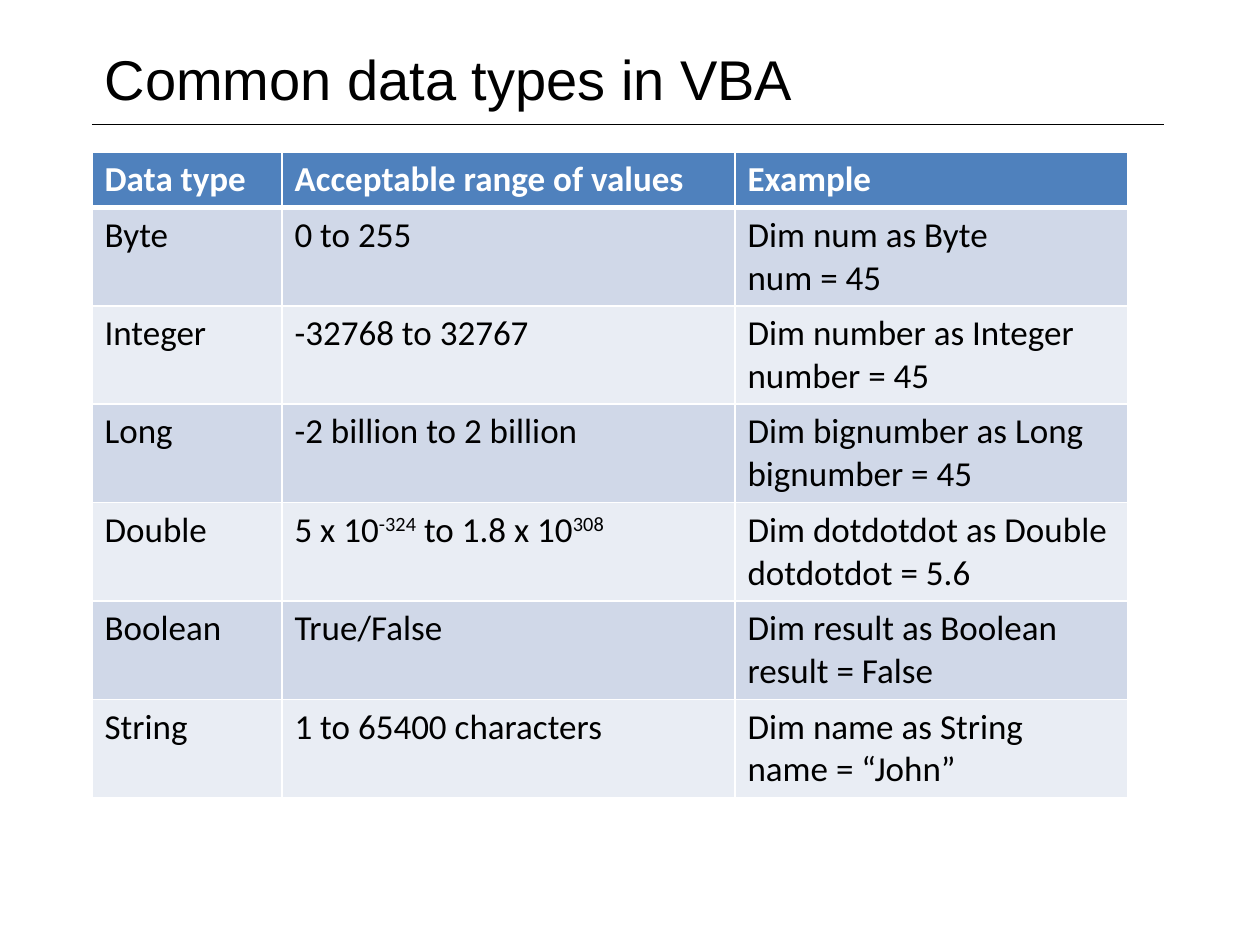
from lxml.etree import SubElement
from pptx import Presentation
from pptx.dml.color import RGBColor
from pptx.enum.shapes import MSO_CONNECTOR
from pptx.enum.text import MSO_ANCHOR, MSO_AUTO_SIZE, PP_ALIGN
from pptx.oxml.ns import qn
from pptx.util import Pt

EMU_PER_PX = 914400 // 126
BLACK = RGBColor(0x00, 0x00, 0x00)
WHITE = RGBColor(0xFF, 0xFF, 0xFF)
HEADER_BLUE = RGBColor(0x4F, 0x81, 0xBD)
BAND_COLOURS = (RGBColor(0xD0, 0xD8, 0xE8), RGBColor(0xE9, 0xED, 0xF4))

LEFT = 92
COLUMN_WIDTHS = (190, 453, 393)
HEADER_HEIGHT = 54
ROW_HEIGHT = 98
SUPERSCRIPT = "30000"

HEADINGS = ("Data type", "Acceptable range of values", "Example")
DATA_TYPES = (
    ("Byte", "0 to 255", "Dim num as Byte\nnum = 45"),
    ("Integer", "-32768 to 32767", "Dim number as Integer\nnumber = 45"),
    ("Long", "-2 billion to 2 billion", "Dim bignumber as Long\nbignumber = 45"),
    ("Double", "5 x 10^-324^ to 1.8 x 10^308", "Dim dotdotdot as Double\ndotdotdot = 5.6"),
    ("Boolean", "True/False", "Dim result as Boolean\nresult = False"),
    ("String", "1 to 65400 characters", "Dim name as String\nname = “John”"),
)


def px(length):
    return length * EMU_PER_PX


def add_run(paragraph, text, font_name, size, colour, bold=False):
    run = paragraph.add_run()
    run.text = text
    run.font.name = font_name
    run.font.size = Pt(size)
    run.font.bold = bold
    run.font.color.rgb = colour
    return run


def add_title(slide, text):
    title = slide.shapes.title
    title.left, title.top, title.width, title.height = px(LEFT), px(36), px(856), px(84)
    frame = title.text_frame
    frame.auto_size = MSO_AUTO_SIZE.NONE
    frame.vertical_anchor = MSO_ANCHOR.MIDDLE
    paragraph = frame.paragraphs[0]
    paragraph.alignment = PP_ALIGN.LEFT
    add_run(paragraph, text, "Arial", 32, BLACK)


def add_rule(slide):
    rule = slide.shapes.add_connector(
        MSO_CONNECTOR.STRAIGHT, px(LEFT), px(124), px(1164), px(124)
    )
    rule.line.color.rgb = BLACK
    rule.line.width = Pt(0.25)
    SubElement(rule._element.spPr, qn("a:effectLst"))


def set_borders(cell, top, bottom):
    properties = cell._tc.get_or_add_tcPr()
    for side, width in (("L", 1), ("R", 1), ("T", top), ("B", bottom)):
        border = SubElement(properties, qn(f"a:ln{side}"), w=str(Pt(width)))
        fill = SubElement(border, qn("a:solidFill"))
        SubElement(fill, qn("a:srgbClr"), val=str(WHITE))


def fill_cell(cell, text, fill_colour, text_colour, bold):
    cell.fill.solid()
    cell.fill.fore_color.rgb = fill_colour
    frame = cell.text_frame
    for index, line in enumerate(text.split("\n")):
        paragraph = frame.add_paragraph() if index else frame.paragraphs[0]
        for part, words in enumerate(line.split("^")):
            run = add_run(paragraph, words, "Calibri", 20, text_colour, bold)
            if part % 2:
                run._r.get_or_add_rPr().set("baseline", SUPERSCRIPT)


def add_data_type_table(slide):
    rows = (HEADINGS,) + DATA_TYPES
    height = HEADER_HEIGHT + ROW_HEIGHT * len(DATA_TYPES)
    table = slide.shapes.add_table(
        len(rows), len(HEADINGS), px(LEFT), px(152), px(sum(COLUMN_WIDTHS)), px(height)
    ).table
    for column, width in zip(table.columns, COLUMN_WIDTHS):
        column.width = px(width)
    for row_index, texts in enumerate(rows):
        is_header = row_index == 0
        table.rows[row_index].height = px(HEADER_HEIGHT if is_header else ROW_HEIGHT)
        fill_colour = HEADER_BLUE if is_header else BAND_COLOURS[(row_index - 1) % 2]
        text_colour = WHITE if is_header else BLACK
        for column_index, text in enumerate(texts):
            cell = table.cell(row_index, column_index)
            set_borders(cell, 3 if row_index == 1 else 1, 3 if is_header else 1)
            fill_cell(cell, text, fill_colour, text_colour, is_header)


def main():
    presentation = Presentation()
    presentation.slide_width, presentation.slide_height = px(1260), px(945)
    slide = presentation.slides.add_slide(presentation.slide_layouts[5])
    add_rule(slide)
    add_title(slide, "Common data types in VBA")
    add_data_type_table(slide)
    presentation.save("out.pptx")


if __name__ == "__main__":
    main()
